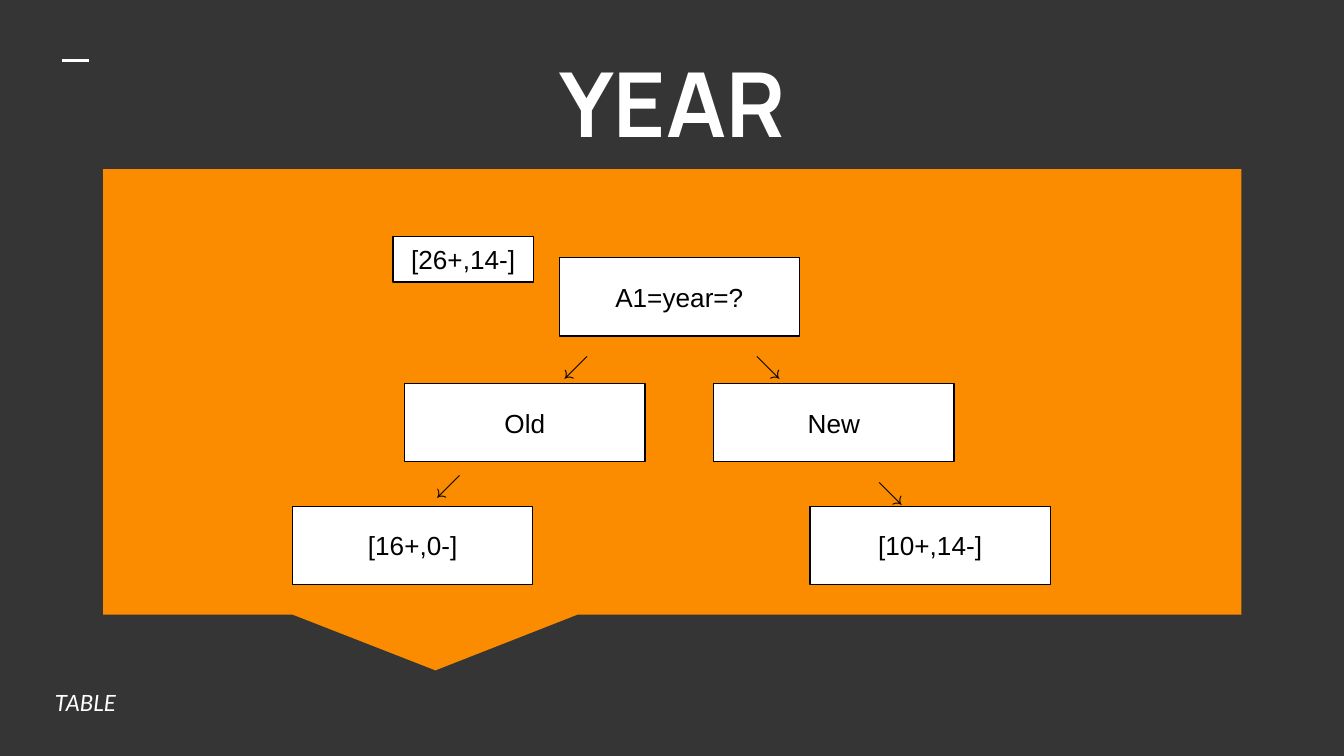
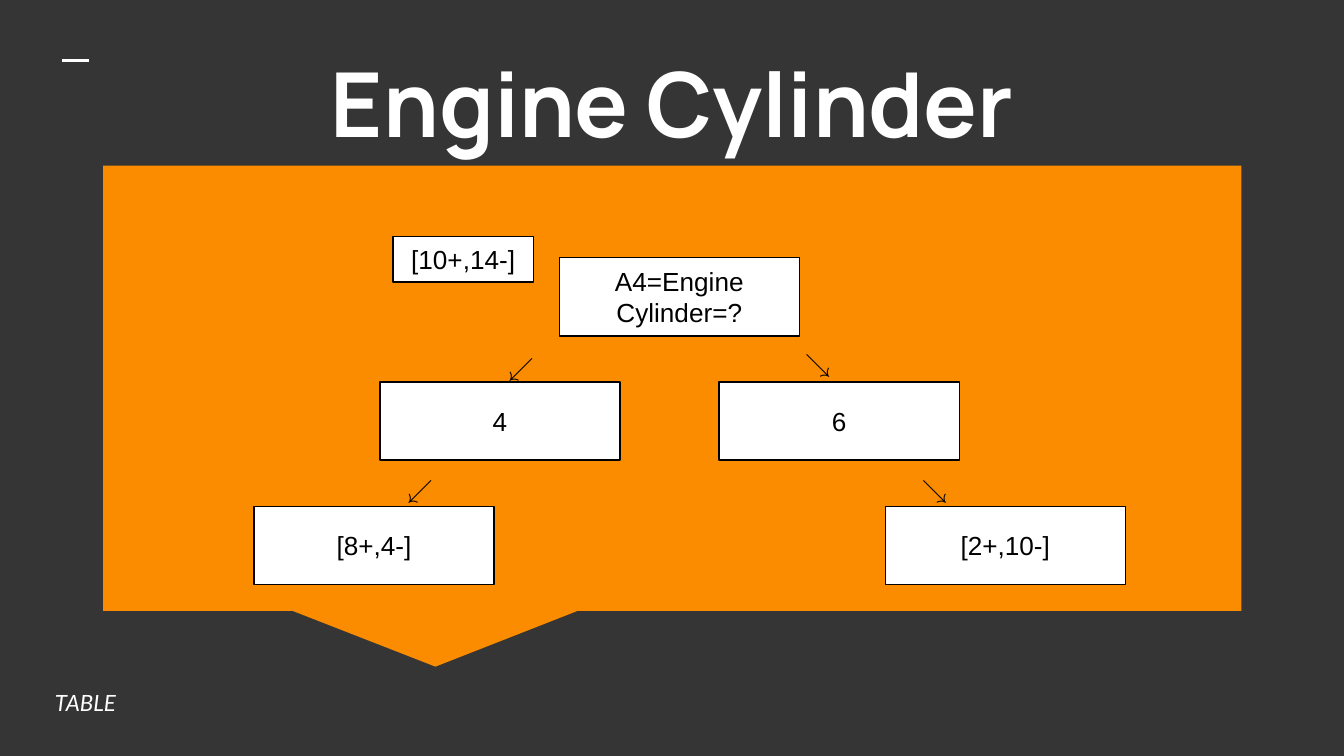
from dataclasses import dataclass

from lxml.etree import SubElement
from pptx import Presentation
from pptx.dml.color import RGBColor
from pptx.enum.shapes import MSO_CONNECTOR, MSO_SHAPE
from pptx.enum.text import MSO_ANCHOR, PP_ALIGN
from pptx.oxml.ns import qn
from pptx.util import Cm, Pt


@dataclass(frozen=True)
class Theme:
    background: RGBColor = RGBColor(0x35, 0x35, 0x35)
    panel: RGBColor = RGBColor(0xFB, 0x8C, 0x00)
    light: RGBColor = RGBColor(0xFF, 0xFF, 0xFF)
    dark: RGBColor = RGBColor(0x00, 0x00, 0x00)
    title_size: int = 48
    node_size: int = 14
    footer_size: int = 12
    title_font: str = "Manrope"
    node_font: str = "Arial"
    footer_font: str = "Lato"


THEME = Theme()
NODE_SIZE = (4.54, 1.48)
COUNT_SIZE = (2.65, 0.86)
ARROW_SIZE = (1.09, 1.12)
ROOT_AT = (10.57, 4.87)
COUNT_AT = (7.43, 4.47)
LEAF_TOP = 9.57

# Each tree reads from left to right; arrows are placed by their top left corner.
TREES = [
    {
        "title": "YEAR",
        "panel_top": 3.2,
        "count": "[26+,14-]",
        "root": "A1=year=?",
        "branch_top": 7.25,
        "branches": [("Old", 7.65), ("New", 13.49)],
        "leaves": [("[16+,0-]", 5.53), ("[10+,14-]", 15.31)],
        "arrows": [("↙", 10.39, 6.35), ("↘", 14.02, 6.35),
                   ("↙", 7.98, 8.61), ("↘", 16.33, 8.73)],
    },
    {
        "title": "Engine Cylinder",
        "panel_top": 3.13,
        "count": "[10+,14-]",
        "root": "A4=Engine Cylinder=?",
        "branch_top": 7.22,
        "branches": [("4", 7.18), ("6", 13.59)],
        "leaves": [("[8+,4-]", 4.8), ("[2+,10-]", 16.73)],
        "arrows": [("↙", 9.35, 6.4), ("↘", 14.96, 6.32),
                   ("↙", 7.44, 8.7), ("↘", 17.17, 8.7)],
    },
]


def add_text(page, text, at, size, *, font=THEME.node_font, points=THEME.node_size,
             color=THEME.dark, bold=False, italic=False, align=PP_ALIGN.LEFT,
             anchor=MSO_ANCHOR.TOP, framed=False):
    """Add text in a plain box, or in an outlined rectangle when framed."""
    place = [Cm(length) for length in (*at, *size)]
    if framed:
        box = page.shapes.add_shape(MSO_SHAPE.RECTANGLE, *place)
        box.shadow.inherit = False
        box.fill.solid()
        box.fill.fore_color.rgb = THEME.light
        box.line.color.rgb = THEME.dark
        box.line.width = Pt(0.75)
    else:
        box = page.shapes.add_textbox(*place)
    frame = box.text_frame
    frame.word_wrap = True
    frame.vertical_anchor = anchor
    frame.margin_left = frame.margin_right = Cm(0.25)
    frame.margin_top = frame.margin_bottom = Cm(0.25)
    para = frame.paragraphs[0]
    para.alignment = align
    span = para.add_run()
    span.text = text
    span.font.name = font
    span.font.size = Pt(points)
    span.font.bold = bold
    span.font.italic = italic
    span.font.color.rgb = color


def add_base(page, title, panel_top):
    """Draw what every page shares: background, dash, title, panel and footer."""
    page.background.fill.solid()
    page.background.fill.fore_color.rgb = THEME.background

    dash = page.shapes.add_connector(
        MSO_CONNECTOR.STRAIGHT, Cm(1.18), Cm(1.15), Cm(1.69), Cm(1.15))
    dash.line.color.rgb = THEME.light
    dash.line.width = Pt(1.5)
    SubElement(dash.element.spPr, qn("a:effectLst"))

    add_text(page, title, (0.73, 0.66), (23.95, 2.84), font=THEME.title_font,
             points=THEME.title_size, color=THEME.light, bold=True,
             align=PP_ALIGN.CENTER)

    panel = page.shapes.add_shape(
        MSO_SHAPE.RECTANGULAR_CALLOUT, Cm(1.95), Cm(panel_top), Cm(21.51), Cm(8.42))
    panel.adjustments[0] = -0.208
    panel.adjustments[1] = 0.625
    panel.shadow.inherit = False
    panel.fill.solid()
    panel.fill.fore_color.rgb = THEME.panel
    panel.line.fill.background()

    add_text(page, "TABLE", (0.79, 12.93), (17.35, 0.71), font=THEME.footer_font,
             points=THEME.footer_size, color=THEME.light, italic=True,
             anchor=MSO_ANCHOR.MIDDLE)


deck = Presentation()
deck.slide_width, deck.slide_height = Cm(25.4), Cm(14.29)

for tree in TREES:
    page = deck.slides.add_slide(deck.slide_layouts[6])
    add_base(page, tree["title"], tree["panel_top"])

    nodes = [(tree["root"], ROOT_AT, NODE_SIZE)]
    for row, top in (("branches", tree["branch_top"]), ("leaves", LEAF_TOP)):
        nodes += [(label, (left, top), NODE_SIZE) for label, left in tree[row]]
    nodes.append((tree["count"], COUNT_AT, COUNT_SIZE))
    for label, at, size in nodes:
        add_text(page, label, at, size, align=PP_ALIGN.CENTER,
                 anchor=MSO_ANCHOR.MIDDLE, framed=True)

    for arrow, left, top in tree["arrows"]:
        add_text(page, arrow, (left, top), ARROW_SIZE)

deck.save("out.pptx")
